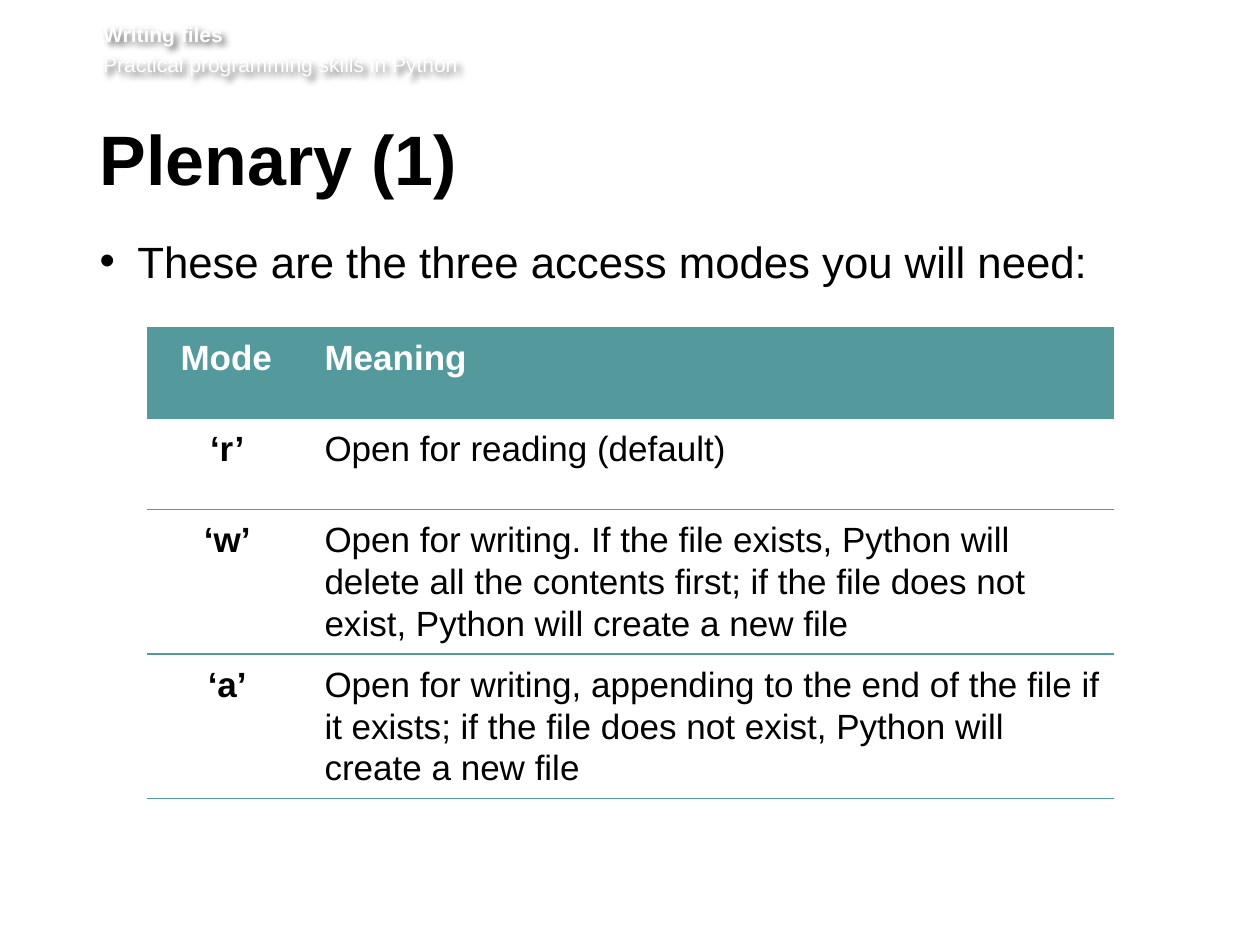
import pptx
import pptx.dml.color
import pptx.enum.text
import pptx.oxml
import pptx.oxml.ns
import pptx.util

Pt = pptx.util.Pt
RGB = pptx.dml.color.RGBColor.from_string
ALIGN = pptx.enum.text.PP_ALIGN
ANCHOR = pptx.enum.text.MSO_ANCHOR
AUTO = pptx.enum.text.MSO_AUTO_SIZE
NS = pptx.oxml.ns.nsdecls("a")

COLORS = {"teal": "54999C", "white": "FFFFFF", "black": "000000"}
MODES = [
    ("Mode ", "Meaning"),
    ("‘r’ ", "Open for reading (default)"),
    ("‘w’ ", "Open for writing. If the file exists, Python will delete all the "
             "contents first; if the file does not exist, Python will create a new file"),
    ("‘a’ ", "Open for writing, appending to the end of the file if it exists; "
             "if the file does not exist, Python will create a new file"),
]


def apply(obj, values):
    for name, value in values.items():
        setattr(obj, name, value)


def place(sp, box):
    apply(sp, dict(zip(("left", "top", "width", "height"), map(Pt, box))))


def margins(obj, left, top, right, bottom):
    apply(obj, {"margin_left": Pt(left), "margin_top": Pt(top),
                "margin_right": Pt(right), "margin_bottom": Pt(bottom)})


def write(p, text, size, color, bold=False, **layout):
    r = p.add_run()
    r.text = text
    apply(r.font, {"name": "Arial", "size": Pt(size), "bold": bold})
    r.font.color.rgb = RGB(COLORS[color])
    apply(p, layout)


def frame(sp, box, insets):
    place(sp, box)
    tf = sp.text_frame
    apply(tf, {"word_wrap": True, "auto_size": AUTO.NONE, "vertical_anchor": ANCHOR.TOP})
    margins(tf, *insets)
    return tf


def add_header(s, box):
    sp = s.shapes.add_textbox(*map(Pt, box))
    tf = frame(sp, box, (0, 0, 0, 3.6))
    write(tf.paragraphs[0], "Writing files", 12, "white", True, space_before=Pt(2.9))
    write(tf.add_paragraph(), "Practical programming skills in Python", 12, "white",
          space_before=Pt(2.9))
    sp.element.spPr.append(pptx.oxml.parse_xml(
        f'<a:effectLst {NS}><a:outerShdw blurRad="50800" dist="38100" dir="2700000" '
        f'algn="tl" rotWithShape="0"><a:srgbClr val="{COLORS["black"]}">'
        '<a:alpha val="60000"/></a:srgbClr></a:outerShdw></a:effectLst>'))


def add_title(s, box):
    tf = frame(s.shapes.title, box, (0, 3.6, 7.2, 3.6))
    write(tf.paragraphs[0], "Plenary (1)", 40, "black", True, alignment=ALIGN.LEFT,
          line_spacing=Pt(39), space_before=Pt(0), space_after=Pt(15))


def add_body(s, box):
    tf = frame(s.placeholders[1], box, (0, 0, 7.2, 3.6))
    p = tf.paragraphs[0]
    write(p, "These are the three access modes you will need:", 25, "black",
          space_before=Pt(0), space_after=Pt(14))
    pPr = p._p.get_or_add_pPr()
    pPr.set("marL", str(Pt(21.6)))
    pPr.set("indent", str(Pt(-21.6)))
    pPr.append(pptx.oxml.parse_xml(f'<a:buChar {NS} char="•"/>'))


def set_borders(cell, lines):
    tcPr = cell._tc.get_or_add_tcPr()
    for side in "LRTB":
        fill = (f'<a:solidFill><a:srgbClr val="{COLORS["teal"]}"/></a:solidFill>'
                if side in lines else "<a:noFill/>")
        tcPr.append(pptx.oxml.parse_xml(f'<a:ln{side} {NS} w="{Pt(1)}">{fill}</a:ln{side}>'))


def add_modes_table(s, box, widths, heights):
    table = s.shapes.add_table(len(heights), len(widths), *map(Pt, box)).table
    apply(table, {"first_row": False, "horz_banding": False})
    for column, width in zip(table.columns, widths):
        column.width = Pt(width)
    for row, height in zip(table.rows, heights):
        row.height = Pt(height)
    for i, texts in enumerate(MODES):
        for j, text in enumerate(texts):
            cell = table.cell(i, j)
            margins(cell, 5.1, 5.1, 5.1, 5.1)
            set_borders(cell, "TB")
            if i == 0:
                cell.fill.solid()
                cell.fill.fore_color.rgb = RGB(COLORS["teal"])
            else:
                cell.fill.background()
            write(cell.text_frame.paragraphs[0], text, 20,
                  "white" if i == 0 else "black", i == 0 or j == 0,
                  alignment=ALIGN.LEFT if j else ALIGN.CENTER, line_spacing=1.07)


def main():
    prs = pptx.Presentation()
    apply(prs, {"slide_width": Pt(720), "slide_height": Pt(540)})
    s = prs.slides.add_slide(prs.slide_layouts[1])
    add_header(s, (59, 12.2, 635, 35.3))
    add_title(s, (56.9, 71.3, 615.6, 52.6))
    add_body(s, (56.9, 133.9, 614.2, 272.2))
    add_modes_table(s, (83.8, 187.2, 552.6, 269.2), (96.6, 456), (52, 52, 82.6, 82.6))
    prs.save("out.pptx")


if __name__ == "__main__":
    main()
